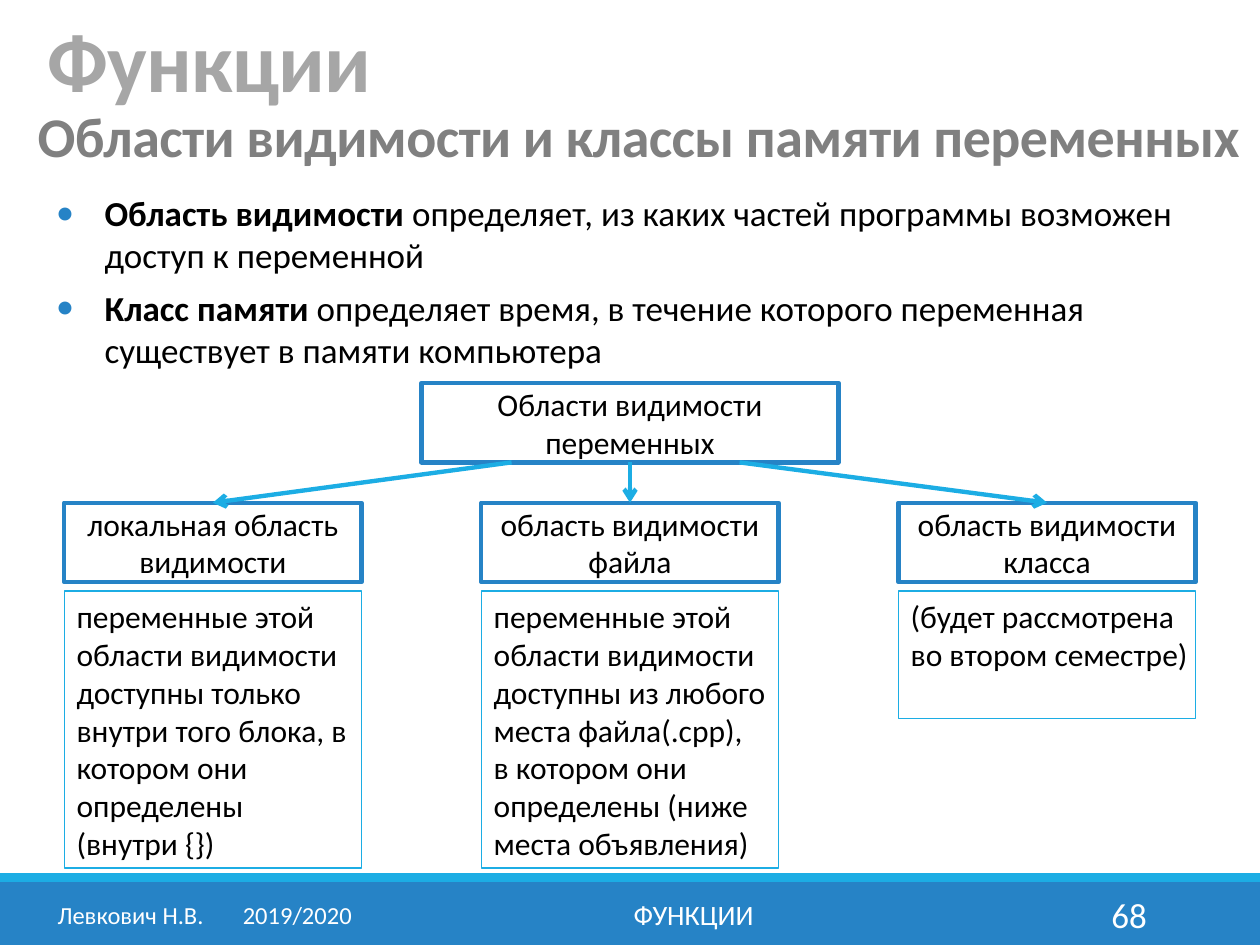
import pptx
import pptx.util
import pptx.dml.color
import pptx.enum.shapes
import pptx.enum.text
import pptx.oxml
import pptx.oxml.ns
from lxml import etree

In, Pt = pptx.util.Inches, pptx.util.Pt
RGB = pptx.dml.color.RGBColor
ALIGN, ANCHOR = pptx.enum.text.PP_ALIGN, pptx.enum.text.MSO_ANCHOR
RECT = pptx.enum.shapes.MSO_SHAPE.RECTANGLE
qn = pptx.oxml.ns.qn

BLUE, CYAN = RGB(0x26, 0x83, 0xC6), RGB(0x1C, 0xAD, 0xE4)
BLACK, WHITE = RGB(0, 0, 0), RGB(0xFF, 0xFF, 0xFF)
GREY, LIGHT_GREY = RGB(0x80, 0x80, 0x80), RGB(0xA6, 0xA6, 0xA6)
FONT = "Calibri"

# Content
TITLE = "Функции"
SUBTITLE = "Области видимости и классы памяти переменных"
BULLETS = [
    ("Область видимости ",
     "определяет, из каких частей программы возможен доступ к переменной"),
    ("Класс памяти",
     " определяет время, в течение которого переменная существует в памяти компьютера"),
]
ROOT = "Области видимости переменных"
# heading, description, description height, right inset, arrow start x
SCOPES = [
    ("локальная область видимости",
     "переменные этой области видимости доступны только внутри того блока, "
     "в котором они определены\n(внутри {})", 2.2, 0.1, 4.06),
    ("область видимости файла",
     "переменные этой области видимости доступны из любого места файла(.cpp),\n"
     "в котором они определены (ниже места объявления)", 2.2, 0.1, 5),
    ("область видимости класса",
     "(будет рассмотрена во втором семестре)", 1.01, 0.04, 5.87),
]
# text, left, width, size, alignment
FOOTER = [
    ("Левкович Н.В.\t2019/2020", 0.32, 2.61, 14, ALIGN.CENTER),
    ("ФУНКЦИИ", 3.02, 4.97, 16, ALIGN.CENTER),
    ("68", 8.12, 1.08, 20, ALIGN.RIGHT),
]

# Grid, in inches
COL_LEFT, COL_STEP, COL_W = 0.51, 3.31, 2.36
ROOT_W, BOX_H = 3.31, 0.63
ROOT_TOP, HEAD_TOP, DESC_TOP = 3.04, 3.99, 4.69


def write(p, text, size=18, color=BLACK, bold=False, spacing=None, align=ALIGN.LEFT):
    p.alignment = align
    for i, line in enumerate(text.split("\n")):
        if i:
            p.add_line_break()
        r = p.add_run()
        r.text = line
        r.font.name, r.font.size, r.font.bold = FONT, Pt(size), bold
        r.font.color.rgb = color
        if spacing is not None:
            r._r.get_or_add_rPr().set("spc", str(round(spacing * 100)))


def place(sp, left, top, width, height):
    sp.left, sp.top, sp.width, sp.height = In(left), In(top), In(width), In(height)


def add_rect(left, top, width, height, fill=None, line=None, weight=0.75):
    sp = slide.shapes.add_shape(RECT, In(left), In(top), In(width), In(height))
    sp.shadow.inherit = False
    if fill is None:
        sp.fill.background()
    else:
        sp.fill.solid()
        sp.fill.fore_color.rgb = fill
    if line is None:
        sp.line.fill.background()
    else:
        sp.line.color.rgb = line
        sp.line.width = Pt(weight)
    return sp


def add_heading(text, left, top, width):
    sp = add_rect(left, top, width, BOX_H, line=BLUE, weight=2.5)
    sp.text_frame.vertical_anchor = ANCHOR.MIDDLE
    write(sp.text_frame.paragraphs[0], text, align=ALIGN.CENTER)
    return sp


def add_tab(p, position):
    tabs = etree.SubElement(p._p.get_or_add_pPr(), qn("a:tabLst"))
    etree.SubElement(tabs, qn("a:tab"), pos=str(In(position)), algn="l")


def add_bullet(p):
    pPr = p._p.get_or_add_pPr()
    pPr.set("marL", str(In(0.38)))
    pPr.set("indent", str(-In(0.38)))
    color = etree.SubElement(pPr, qn("a:buClr"))
    etree.SubElement(color, qn("a:srgbClr"), val=str(BLUE))
    etree.SubElement(pPr, qn("a:buSzPct"), val="80000")
    etree.SubElement(pPr, qn("a:buFont"), typeface=FONT)
    etree.SubElement(pPr, qn("a:buChar"), char="●")


prs = pptx.Presentation()
prs.slide_width, prs.slide_height = In(10), In(7.5)
slide = prs.slides.add_slide(prs.slide_layouts[1])
title, body = slide.placeholders

# Bottom bars
add_rect(0, 7, 10, 0.5, fill=BLUE)
add_rect(0, 6.93, 10, 0.07, fill=CYAN)

# Title and subtitle
place(title, 0.28, 0, 8.25, 0.92)
tf = title.text_frame
tf.auto_size = pptx.enum.text.MSO_AUTO_SIZE.NONE
tf.vertical_anchor = ANCHOR.BOTTOM
tf.paragraphs[0].line_spacing = 0.85
write(tf.paragraphs[0], TITLE, size=48, color=LIGHT_GREY, bold=True, spacing=-0.5)

sp = slide.shapes.add_textbox(In(0.2), In(0.76), In(10.02), In(0.64))
sp.text_frame.word_wrap = False
write(sp.text_frame.paragraphs[0], SUBTITLE, size=32, color=GREY, bold=True, spacing=-0.3)

# Definitions
place(body, 0.35, 1.47, 9.45, 1.53)
tf = body.text_frame
tf.auto_size = pptx.enum.text.MSO_AUTO_SIZE.NONE
for i, (term, meaning) in enumerate(BULLETS):
    p = tf.add_paragraph() if i else tf.paragraphs[0]
    add_bullet(p)
    p.space_before = Pt(6 if i else 0)
    write(p, term, size=20, bold=True)
    write(p, meaning, size=20)

# Scope tree
root = add_heading(ROOT, (10 - ROOT_W) / 2, ROOT_TOP, ROOT_W)
for i, (name, description, height, inset, start) in enumerate(SCOPES):
    left = COL_LEFT + i * COL_STEP
    head = add_heading(name, left, HEAD_TOP, COL_W)

    arrow = slide.shapes.add_connector(
        pptx.enum.shapes.MSO_CONNECTOR.STRAIGHT,
        In(start), In(ROOT_TOP + BOX_H), In(left + COL_W / 2), In(HEAD_TOP))
    if i == 1:
        arrow.begin_connect(root, 2)
    arrow.end_connect(head, 0)
    arrow.line.color.rgb = CYAN
    arrow.line.width = Pt(2.5)
    etree.SubElement(arrow.line._get_or_add_ln(), qn("a:tailEnd"), type="arrow")
    etree.SubElement(arrow._element.spPr, qn("a:effectLst"))

    box = add_rect(left, DESC_TOP, COL_W, height, line=CYAN)
    box.text_frame.vertical_anchor = ANCHOR.TOP
    box.text_frame.margin_right = In(inset)
    write(box.text_frame.paragraphs[0], description)

# Footer
for text, left, width, size, align in FOOTER:
    sp = slide.shapes.add_textbox(In(left), In(7.06), In(width), In(0.4))
    tf = sp.text_frame
    tf.word_wrap = True
    tf.vertical_anchor = ANCHOR.MIDDLE
    if "\t" in text:
        add_tab(tf.paragraphs[0], 1.47)
    write(tf.paragraphs[0], text, size=size, color=WHITE, align=align)

prs.save("out.pptx")
